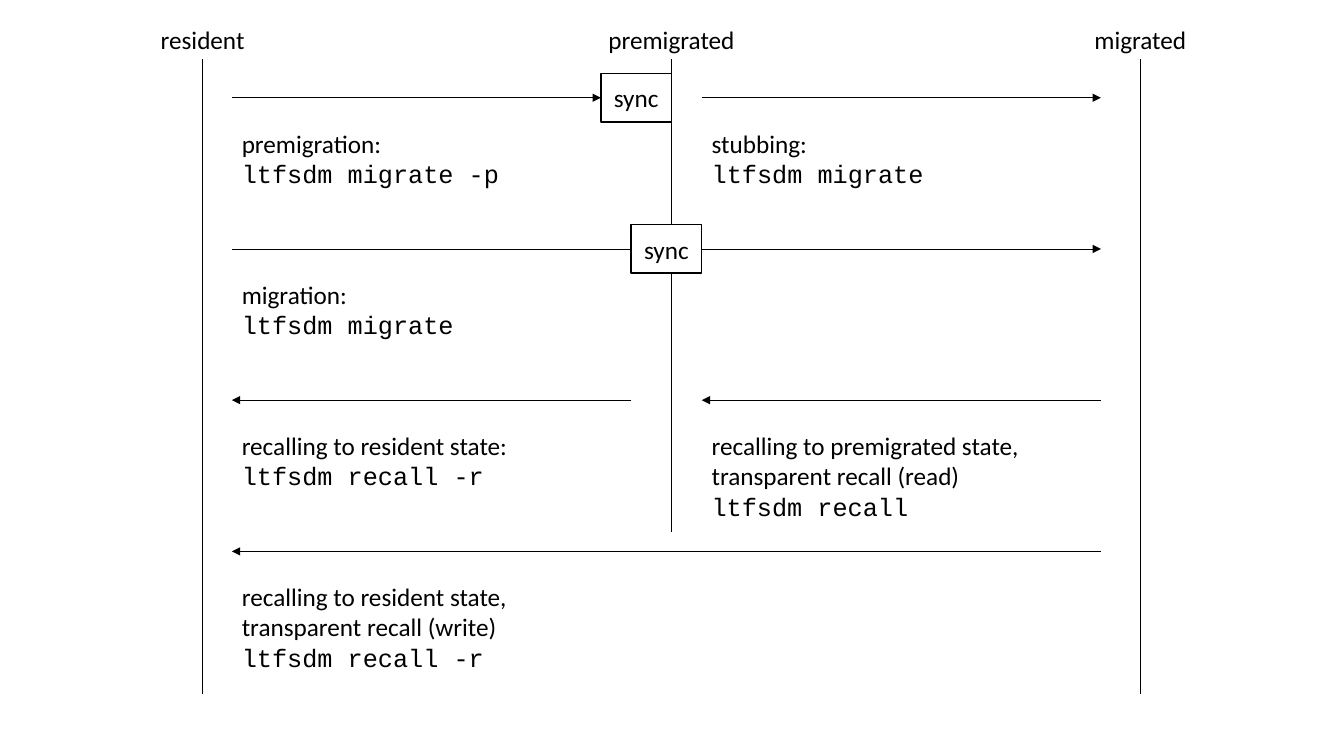
from dataclasses import dataclass

from lxml import etree
from pptx import Presentation
from pptx.dml.color import RGBColor
from pptx.enum.shapes import MSO_CONNECTOR, MSO_SHAPE
from pptx.enum.text import MSO_ANCHOR, MSO_AUTO_SIZE, PP_ALIGN
from pptx.oxml.ns import qn
from pptx.util import Inches, Pt

STRAIGHT = MSO_CONNECTOR.STRAIGHT
RECT = MSO_SHAPE.RECTANGLE
CENTER = PP_ALIGN.CENTER
LEFT = PP_ALIGN.LEFT
MIDDLE = MSO_ANCHOR.MIDDLE
GROW = MSO_AUTO_SIZE.SHAPE_TO_FIT_TEXT
LEFT_SIDE, RIGHT_SIDE = 1, 3


@dataclass(frozen=True)
class Theme:
    ink: RGBColor = RGBColor(0, 0, 0)
    paper: RGBColor = RGBColor(255, 255, 255)
    body: str = "Calibri"
    code: str = "Courier New"
    size: Pt = Pt(18)
    thin: Pt = Pt(0.5)
    edge: Pt = Pt(1)


THEME = Theme()

# State axes: name and lower end; evenly spaced across the slide
AXES = [("resident", 6.89), ("premigrated", 5.28), ("migrated", 6.89)]
AXIS_X, AXIS_GAP, AXIS_TOP = 2.01, 4.65, 0.59
HEAD_W = 2.07

# Transitions: rows of arrows between the axes
ROW_Y, ROW_GAP = 0.97, 1.5
START, BEFORE, AFTER, END = 2.3, 6.26, 6.96, 10.92
BOX_W, BOX_H = 0.7, 0.48
SYNC_X = 5.96

# Captions: row, left, width, plain lines, command
CAPTIONS = [
    (0, START, 3.33, ["premigration:"], "ltfsdm migrate -p"),
    (0, AFTER, 2.72, ["stubbing:"], "ltfsdm migrate"),
    (1, START, 2.64, ["migration:"], "ltfsdm migrate"),
    (2, START, 3.07, ["recalling to resident state:"], "ltfsdm recall -r"),
    (2, AFTER, 3.33, ["recalling to premigrated state,",
                      "transparent recall (read)"], "ltfsdm recall"),
    (3, START, 2.91, ["recalling to resident state,",
                      "transparent recall (write)"], "ltfsdm recall -r"),
]


def row_y(row):
    return ROW_Y + row * ROW_GAP


def add_line(slide, x1, y1, x2, y2, arrow=False):
    line = slide.shapes.add_connector(
        STRAIGHT, Inches(x1), Inches(y1), Inches(x2), Inches(y2))
    line.line.color.rgb = THEME.ink
    line.line.width = THEME.thin
    if arrow:
        tail = etree.SubElement(line.line._get_or_add_ln(), qn("a:tailEnd"))
        tail.set("type", "triangle")
    etree.SubElement(line._element.spPr, qn("a:effectLst"))
    return line


def add_move(slide, row, x1, x2, arrow=True):
    """Draw a level line in a row, pointing from x1 to x2."""
    return add_line(slide, x1, row_y(row), x2, row_y(row), arrow)


def write(frame, lines, align=LEFT):
    """Fill a frame with one paragraph per (text, font) pair."""
    frame.word_wrap = True
    for i, (text, font) in enumerate(lines):
        para = frame.add_paragraph() if i else frame.paragraphs[0]
        para.alignment = align
        run = para.add_run()
        run.text = text
        run.font.name = font
        run.font.size = THEME.size
        run.font.color.rgb = THEME.ink


def add_text(slide, x, y, w, h, lines, align=LEFT):
    box = slide.shapes.add_textbox(
        Inches(x), Inches(y), Inches(w), Inches(h))
    write(box.text_frame, lines, align)
    box.text_frame.auto_size = GROW


def add_sync(slide, row, x):
    box = slide.shapes.add_shape(
        RECT, Inches(x), Inches(row_y(row) - BOX_H / 2),
        Inches(BOX_W), Inches(BOX_H))
    box.shadow.inherit = False
    box.fill.solid()
    box.fill.fore_color.rgb = THEME.paper
    box.line.color.rgb = THEME.ink
    box.line.width = THEME.edge
    box.text_frame.vertical_anchor = MIDDLE
    write(box.text_frame, [("sync", THEME.body)], CENTER)
    return box


def add_axis(slide, index, name, bottom):
    x = AXIS_X + index * AXIS_GAP
    add_line(slide, x, AXIS_TOP, x, bottom)
    add_text(slide, x - HEAD_W / 2, 0.19, HEAD_W, 0.4,
             [(name, THEME.body)], CENTER)


def add_caption(slide, row, x, w, plain, command):
    lines = [(text, THEME.body) for text in plain]
    lines.append((command, THEME.code))
    add_text(slide, x, row_y(row) + 0.25, w, 0.11 + 0.3 * len(lines), lines)


def main():
    deck = Presentation()
    deck.slide_width = Inches(13.33)
    deck.slide_height = Inches(7.5)
    slide = deck.slides.add_slide(deck.slide_layouts[6])

    for i, (name, bottom) in enumerate(AXES):
        add_axis(slide, i, name, bottom)

    first = add_sync(slide, 0, SYNC_X)
    second = add_sync(slide, 1, BEFORE)

    add_move(slide, 0, START, SYNC_X).end_connect(first, LEFT_SIDE)
    add_move(slide, 0, AFTER, END)
    add_move(slide, 1, START, BEFORE, False).end_connect(second, LEFT_SIDE)
    add_move(slide, 1, AFTER, END).begin_connect(second, RIGHT_SIDE)
    add_move(slide, 2, BEFORE, START)
    add_move(slide, 2, END, AFTER)
    add_move(slide, 3, END, START)

    for caption in CAPTIONS:
        add_caption(slide, *caption)

    deck.save("out.pptx")


if __name__ == "__main__":
    main()
